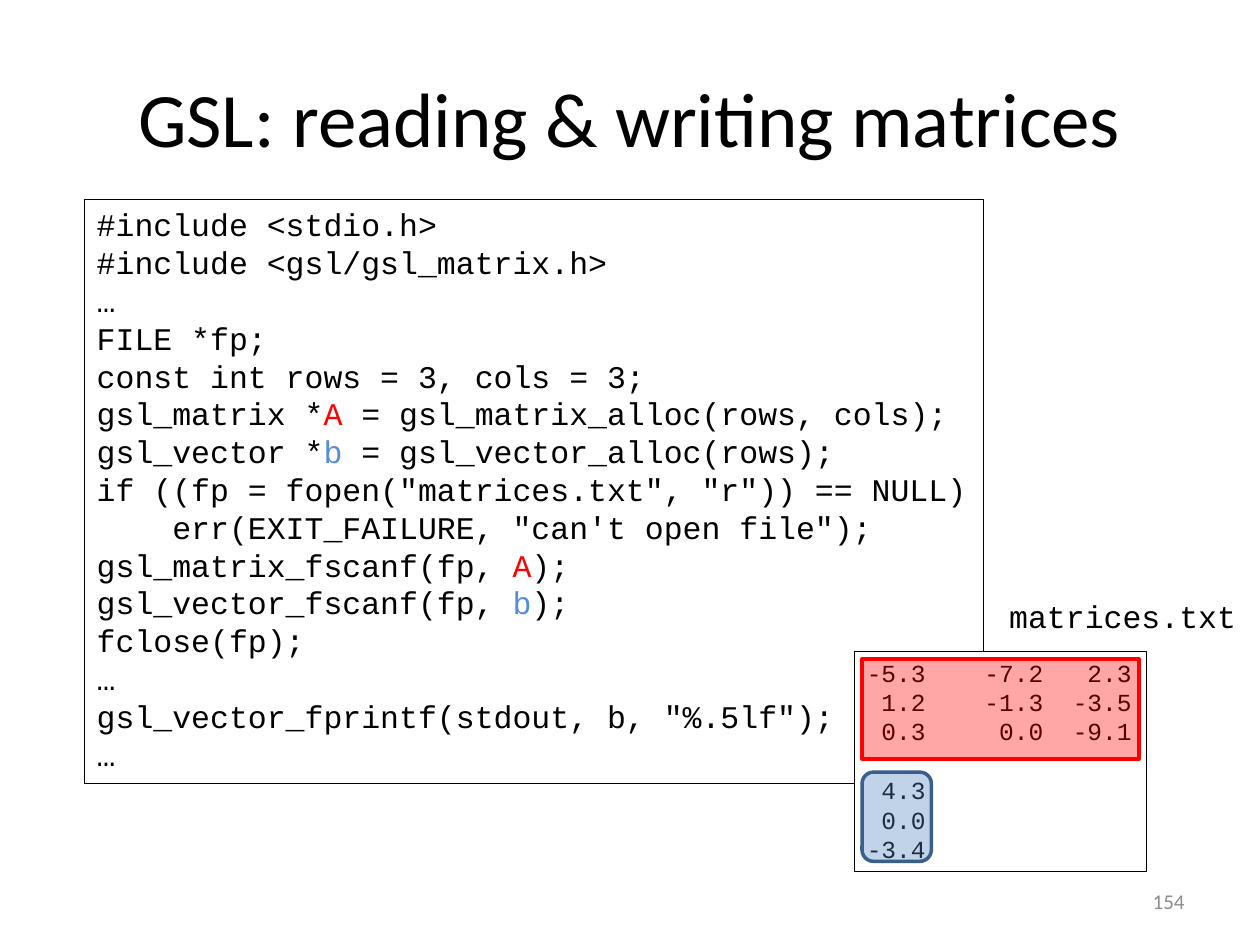
import pptx
import pptx.dml.color
import pptx.enum.shapes
import pptx.enum.text
import pptx.oxml.ns
import pptx.util
from lxml import etree

Pt = pptx.util.Pt
SHAPE = pptx.enum.shapes.MSO_SHAPE
ALIGN = pptx.enum.text.PP_ALIGN
ANCHOR = pptx.enum.text.MSO_ANCHOR

COLORS = {
    "text": "000000",
    "paper": "FFFFFF",
    "A": "FF0000",
    "b": "558ED5",
    "vector": "4F81BD",
    "vector_line": "3A5F8C",
    "number": "8C8C8C",
}

CODE = """#include <stdio.h>
#include <gsl/gsl_matrix.h>
…
FILE *fp;
const int rows = 3, cols = 3;
gsl_matrix *|A| = gsl_matrix_alloc(rows, cols);
gsl_vector *|b| = gsl_vector_alloc(rows);
if ((fp = fopen("matrices.txt", "r")) == NULL)
    err(EXIT_FAILURE, "can't open file");
gsl_matrix_fscanf(fp, |A|);
gsl_vector_fscanf(fp, |b|);
fclose(fp);
…
gsl_vector_fprintf(stdout, b, "%.5lf");
…""".split("\n")

MATRIX = ["-5.3    -7.2   2.3", " 1.2    -1.3  -3.5", " 0.3     0.0  -9.1"]
VECTOR = [" 4.3", " 0.0", "-3.4"]


def rgb(name):
    """Return the named colour."""
    return pptx.dml.color.RGBColor.from_string(COLORS[name])


def style_font(font, size, color="text", name="Courier New"):
    """Set the typeface, size and colour of a font."""
    font.name = name
    font.size = Pt(size)
    font.color.rgb = rgb(color)


def add_box(slide, box, line, width, fill=None, alpha=None, kind=SHAPE.RECTANGLE):
    """Add an outlined shape, optionally with a translucent fill."""
    sp = slide.shapes.add_shape(kind, *map(Pt, box))
    sp.shadow.inherit = False
    sp.line.color.rgb = rgb(line)
    sp.line.width = Pt(width)
    if fill is None:
        sp.fill.background()
        return sp
    sp.fill.solid()
    sp.fill.fore_color.rgb = rgb(fill)
    if alpha is not None:
        qn = pptx.oxml.ns.qn
        clr = sp._element.spPr.find(qn("a:solidFill")).find(qn("a:srgbClr"))
        etree.SubElement(clr, qn("a:alpha")).set("val", str(alpha * 1000))
    return sp


def write_lines(sp, lines, size):
    """Write monospaced lines; a name between bars takes its own colour."""
    tf = sp.text_frame
    tf.word_wrap = False
    tf.vertical_anchor = ANCHOR.TOP
    for i, line in enumerate(lines):
        p = tf.paragraphs[0] if i == 0 else tf.add_paragraph()
        p.alignment = ALIGN.LEFT
        for j, part in enumerate(line.split("|")):
            r = p.add_run()
            r.text = part
            style_font(r.font, size, part if j % 2 else "text")
    return tf


def add_title(slide, box, text):
    """Place the slide title."""
    sp = slide.shapes.title
    sp.left, sp.top, sp.width, sp.height = map(Pt, box)
    tf = sp.text_frame
    tf.text = text
    tf.vertical_anchor = ANCHOR.MIDDLE
    p = tf.paragraphs[0]
    p.alignment = ALIGN.CENTER
    style_font(p.runs[0].font, 44, name="Calibri")


def add_code(slide, box):
    """Place the framed program listing."""
    write_lines(add_box(slide, box, "text", 0.75), CODE, 18)


def add_data_file(slide, box):
    """Place the data file with its matrix and vector marked and its name above."""
    x, y, w, h = box
    page = add_box(slide, box, "text", 0.75, "paper")
    tf = write_lines(page, MATRIX + VECTOR, 14)
    tf.paragraphs[len(MATRIX)].space_before = Pt(16.8)
    inset = 4.4
    add_box(slide, (x + inset, y + inset, w - 2 * inset, 57), "A", 2, "A", 35)
    add_box(slide, (x + inset, y + 69, 39.6, 51), "vector_line", 2, "vector", 35,
            SHAPE.ROUNDED_RECTANGLE)
    label = slide.shapes.add_textbox(*map(Pt, (x + 81.4, y - 34.6, 144.7, 29)))
    write_lines(label, ["matrices.txt"], 18)


def add_slide_number(slide, box, text):
    """Place the slide number."""
    tf = slide.shapes.add_textbox(*map(Pt, box)).text_frame
    tf.text = text
    tf.word_wrap = True
    tf.vertical_anchor = ANCHOR.MIDDLE
    p = tf.paragraphs[0]
    p.alignment = ALIGN.RIGHT
    style_font(p.runs[0].font, 12, "number", "Calibri")


def main():
    """Build the slide and save it."""
    prs = pptx.Presentation()
    prs.slide_width, prs.slide_height = Pt(720), Pt(540)
    slide = prs.slides.add_slide(prs.slide_layouts[5])
    add_title(slide, (36, 21.6, 648, 90), "GSL: reading & writing matrices")
    add_code(slide, (48.2, 113.8, 514, 334))
    add_data_file(slide, (488.2, 372.2, 167, 126))
    add_slide_number(slide, (516, 500.5, 168, 28.75), "154")
    prs.save("out.pptx")


if __name__ == "__main__":
    main()
